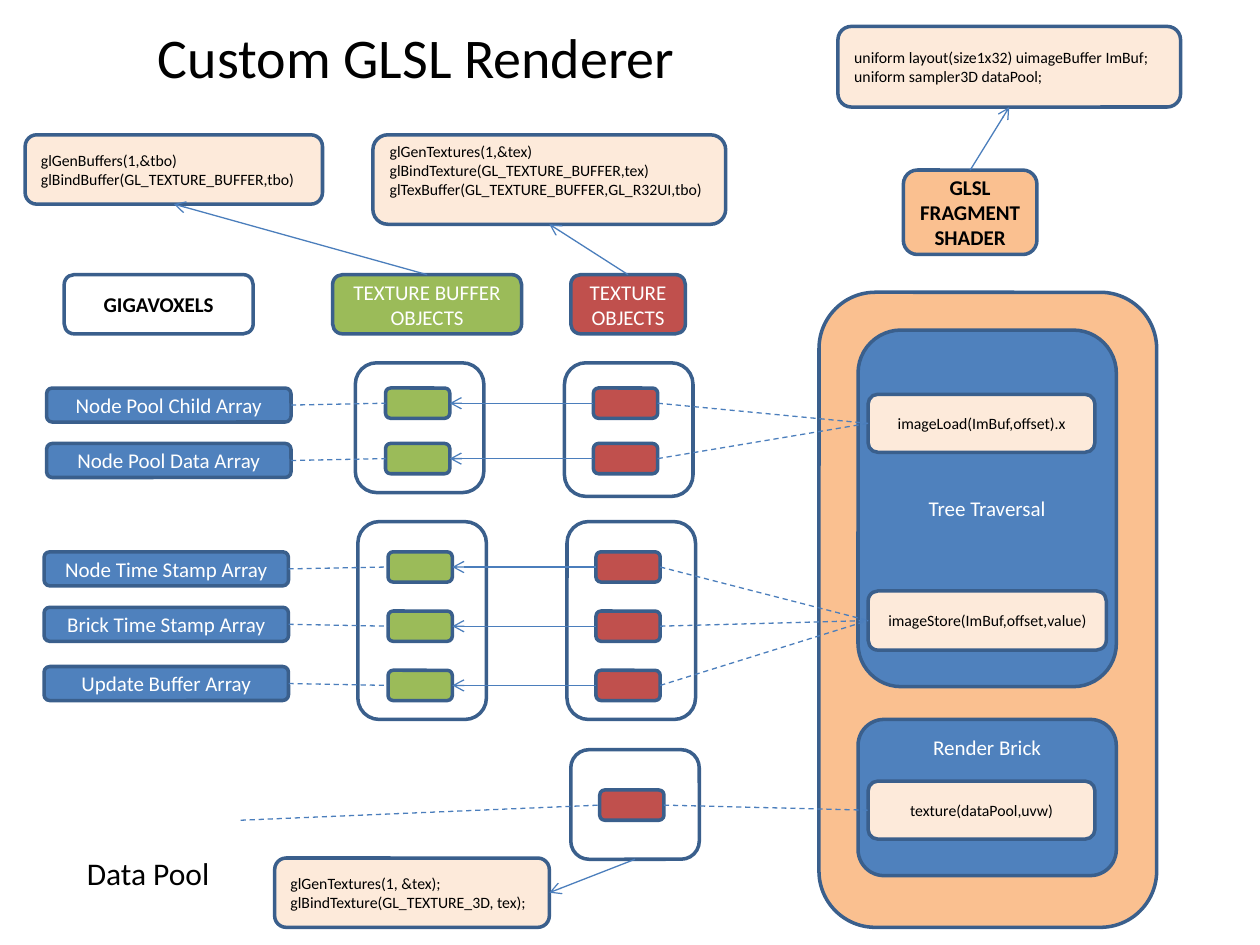
from dataclasses import dataclass

from lxml import etree
from pptx import Presentation
from pptx.dml.color import RGBColor
from pptx.enum.dml import MSO_LINE
from pptx.enum.shapes import MSO_CONNECTOR, MSO_SHAPE
from pptx.enum.text import MSO_ANCHOR, MSO_AUTO_SIZE, PP_ALIGN
from pptx.oxml.ns import qn
from pptx.shapes.autoshape import Shape
from pptx.shapes.connector import Connector
from pptx.slide import Slide
from pptx.text.text import TextFrame
from pptx.util import Emu, Pt

ROUNDED = MSO_SHAPE.ROUNDED_RECTANGLE
STRAIGHT = MSO_CONNECTOR.STRAIGHT
DASH = MSO_LINE.DASH
LEFT, CENTER = PP_ALIGN.LEFT, PP_ALIGN.CENTER
MIDDLE = MSO_ANCHOR.MIDDLE
TOP_SIDE, LEFT_SIDE, BOTTOM_SIDE, RIGHT_SIDE = range(4)
EMU_PER_PX = 9144  # 100 px to the inch


@dataclass(frozen=True)
class Theme:
    font: str = "Calibri"
    black: str = "000000"
    white: str = "FFFFFF"
    blue: str = "4F81BD"
    green: str = "9BBB59"
    red: str = "C0504D"
    orange: str = "FAC090"
    cream: str = "FDEADA"
    outline: str = "3A5F8C"
    link: str = "4B7EBC"
    title_size: int = 32
    caption_size: int = 18
    label_size: int = 12
    code_size: int = 9
    outline_width: float = 2
    link_width: float = 0.75


THEME = Theme()


@dataclass(frozen=True)
class Style:
    fill: str | None = None
    color: str = THEME.white
    size: int = THEME.label_size
    bold: bool = False
    align: PP_ALIGN = CENTER


FRAME = Style()
BLUE = Style(THEME.blue)
GREEN = Style(THEME.green)
RED = Style(THEME.red)
PANEL = Style(THEME.orange)
HEADING = Style(None, THEME.black, bold=True)
SHADER = Style(THEME.orange, THEME.black, bold=True)
CODE = Style(THEME.cream, THEME.black, THEME.code_size, align=LEFT)
CALL = Style(THEME.cream, THEME.black, THEME.code_size)
TITLE = Style(None, THEME.black, THEME.title_size)
CAPTION = Style(None, THEME.black, THEME.caption_size, align=LEFT)


@dataclass(frozen=True)
class Box:
    left: int
    top: int
    width: int
    height: int
    style: Style
    lines: tuple[str, ...] = ()
    bottom_inset: int = 5


@dataclass(frozen=True)
class ArrayRow:
    label: str
    label_top: int
    cell_top: int


@dataclass(frozen=True)
class ArrayGroup:
    label_left: int
    buffer_left: int
    texture_left: int
    call: str
    rows: tuple[ArrayRow, ...]


FRAMES = (
    Box(448, 288, 102, 106, FRAME),
    Box(450, 414, 102, 157, FRAME),
    Box(282, 288, 102, 103, FRAME),
    Box(284, 414, 102, 157, FRAME),
)
BOXES = {
    "heading": Box(51, 218, 150, 47, HEADING, ("GIGAVOXELS",)),
    "buffers": Box(264, 218, 150, 47, GREEN, ("TEXTURE BUFFER", "OBJECTS")),
    "textures": Box(453, 218, 91, 47, RED, ("TEXTURE OBJECTS",)),
    "panel": Box(650, 232, 268, 504, PANEL),
    "shader": Box(717, 135, 106, 67, SHADER, ("GLSL FRAGMENT SHADER",)),
    "traversal": Box(681, 262, 205, 283, BLUE, ("Tree Traversal",)),
    "brick": Box(681, 571, 205, 124, BLUE, ("Render Brick",), 85),
    "pool frame": Box(453, 595, 102, 87, FRAME),
    "pool texture": Box(476, 627, 51, 24, RED),
    "texture code": Box(296, 107, 280, 71, CODE, (
        "glGenTextures(1,&tex)",
        "glBindTexture(GL_TEXTURE_BUFFER,tex)",
        "glTexBuffer(GL_TEXTURE_BUFFER,GL_R32UI,tbo)",
    ), 20),
    "buffer code": Box(20, 107, 236, 55, CODE, (
        "glGenBuffers(1,&tbo)", "glBindBuffer(GL_TEXTURE_BUFFER,tbo)")),
    "pool code": Box(218, 681, 218, 55, CODE, (
        "glGenTextures(1, &tex);", "glBindTexture(GL_TEXTURE_3D, tex);")),
    "uniforms": Box(665, 21, 272, 64, CODE, (
        "uniform layout(size1x32) uimageBuffer ImBuf;",
        "uniform sampler3D dataPool;")),
    "load": Box(689, 313, 180, 46, CALL, ("imageLoad(ImBuf,offset).x",)),
    "store": Box(689, 469, 189, 47, CALL, ("imageStore(ImBuf,offset,value)",)),
    "sample": Box(689, 620, 180, 46, CALL, ("texture(dataPool,uvw)",)),
}
GROUPS = (
    ArrayGroup(37, 306, 471, "load", (
        ArrayRow("Node Pool Child Array", 308, 308),
        ArrayRow("Node Pool Data Array", 352, 352),
    )),
    ArrayGroup(35, 308, 473, "store", (
        ArrayRow("Node Time Stamp Array", 438, 438),
        ArrayRow("Brick Time Stamp Array", 482, 485),
        ArrayRow("Update Buffer Array", 529, 532),
    )),
)
CODE_ARROWS = (
    ("buffers", TOP_SIDE, "buffer code", BOTTOM_SIDE),
    ("textures", TOP_SIDE, "texture code", BOTTOM_SIDE),
    ("shader", TOP_SIDE, "uniforms", BOTTOM_SIDE),
    ("pool frame", BOTTOM_SIDE, "pool code", RIGHT_SIDE),
)


def px(length: int) -> Emu:
    return Emu(length * EMU_PER_PX)


def rgb(color: str) -> RGBColor:
    return RGBColor.from_string(color)


def write(frame: TextFrame, lines: tuple[str, ...], style: Style) -> None:
    for index, line in enumerate(lines):
        para = frame.add_paragraph() if index else frame.paragraphs[0]
        para.alignment = style.align
        span = para.add_run()
        span.text = line
        span.font.name = THEME.font
        span.font.size = Pt(style.size)
        span.font.bold = style.bold
        span.font.color.rgb = rgb(style.color)


def draw_box(page: Slide, box: Box) -> Shape:
    shape = page.shapes.add_shape(
        ROUNDED, px(box.left), px(box.top), px(box.width), px(box.height))
    shape.shadow.inherit = False
    if box.style.fill:
        shape.fill.solid()
        shape.fill.fore_color.rgb = rgb(box.style.fill)
    else:
        shape.fill.background()
    shape.line.color.rgb = rgb(THEME.outline)
    shape.line.width = Pt(THEME.outline_width)
    shape.text_frame.vertical_anchor = MIDDLE
    shape.text_frame.margin_bottom = px(box.bottom_inset)
    write(shape.text_frame, box.lines, box.style)
    return shape


def add_link(page: Slide, end: Shape, end_side: int, arrow: bool,
             left: int = 0, top: int = 0) -> Connector:
    """Draw a dashed line or an arrow from a point to one side of a shape."""
    link = page.shapes.add_connector(STRAIGHT, px(left), px(top), px(left), px(top))
    link.end_connect(end, end_side)
    link.line.color.rgb = rgb(THEME.link)
    link.line.width = Pt(THEME.link_width)
    properties = link.element.spPr
    if arrow:
        etree.SubElement(properties.find(qn("a:ln")), qn("a:tailEnd"), type="arrow")
    else:
        link.line.dash_style = DASH
    etree.SubElement(properties, qn("a:effectLst"))
    return link


def join(page: Slide, start: Shape, start_side: int, end: Shape, end_side: int,
         arrow: bool = False) -> None:
    add_link(page, end, end_side, arrow).begin_connect(start, start_side)


def draw_group(page: Slide, group: ArrayGroup, call: Shape) -> None:
    for row in group.rows:
        label = draw_box(page, Box(group.label_left, row.label_top, 194, 27, BLUE, (row.label,)))
        buffer = draw_box(page, Box(group.buffer_left, row.cell_top, 51, 24, GREEN))
        texture = draw_box(page, Box(group.texture_left, row.cell_top, 51, 24, RED))
        join(page, label, RIGHT_SIDE, buffer, LEFT_SIDE)
        join(page, texture, LEFT_SIDE, buffer, RIGHT_SIDE, arrow=True)
        join(page, texture, RIGHT_SIDE, call, LEFT_SIDE)


def draw_title(page: Slide) -> None:
    title, subtitle = page.placeholders
    subtitle.element.getparent().remove(subtitle.element)
    title.left, title.top, title.width, title.height = map(px, (50, 21, 561, 47))
    title.text_frame.vertical_anchor = MIDDLE
    write(title.text_frame, ("Custom GLSL Renderer",), TITLE)


def draw_caption(page: Slide) -> None:
    caption = page.shapes.add_textbox(px(59), px(673), px(119), px(40))
    caption.text_frame.word_wrap = False
    caption.text_frame.auto_size = MSO_AUTO_SIZE.SHAPE_TO_FIT_TEXT
    write(caption.text_frame, ("Data Pool",), CAPTION)


def main() -> None:
    deck = Presentation()
    deck.slide_width, deck.slide_height = px(1000), px(750)
    page = deck.slides.add_slide(deck.slide_layouts[0])
    draw_title(page)
    for frame in FRAMES:
        draw_box(page, frame)
    shapes = {name: draw_box(page, box) for name, box in BOXES.items()}
    for group in GROUPS:
        draw_group(page, group, shapes[group.call])
    for start, start_side, end, end_side in CODE_ARROWS:
        join(page, shapes[start], start_side, shapes[end], end_side, arrow=True)
    add_link(page, shapes["pool texture"], LEFT_SIDE, False, 191, 651)
    join(page, shapes["pool texture"], RIGHT_SIDE, shapes["sample"], LEFT_SIDE)
    draw_caption(page)
    deck.save("out.pptx")


if __name__ == "__main__":
    main()
